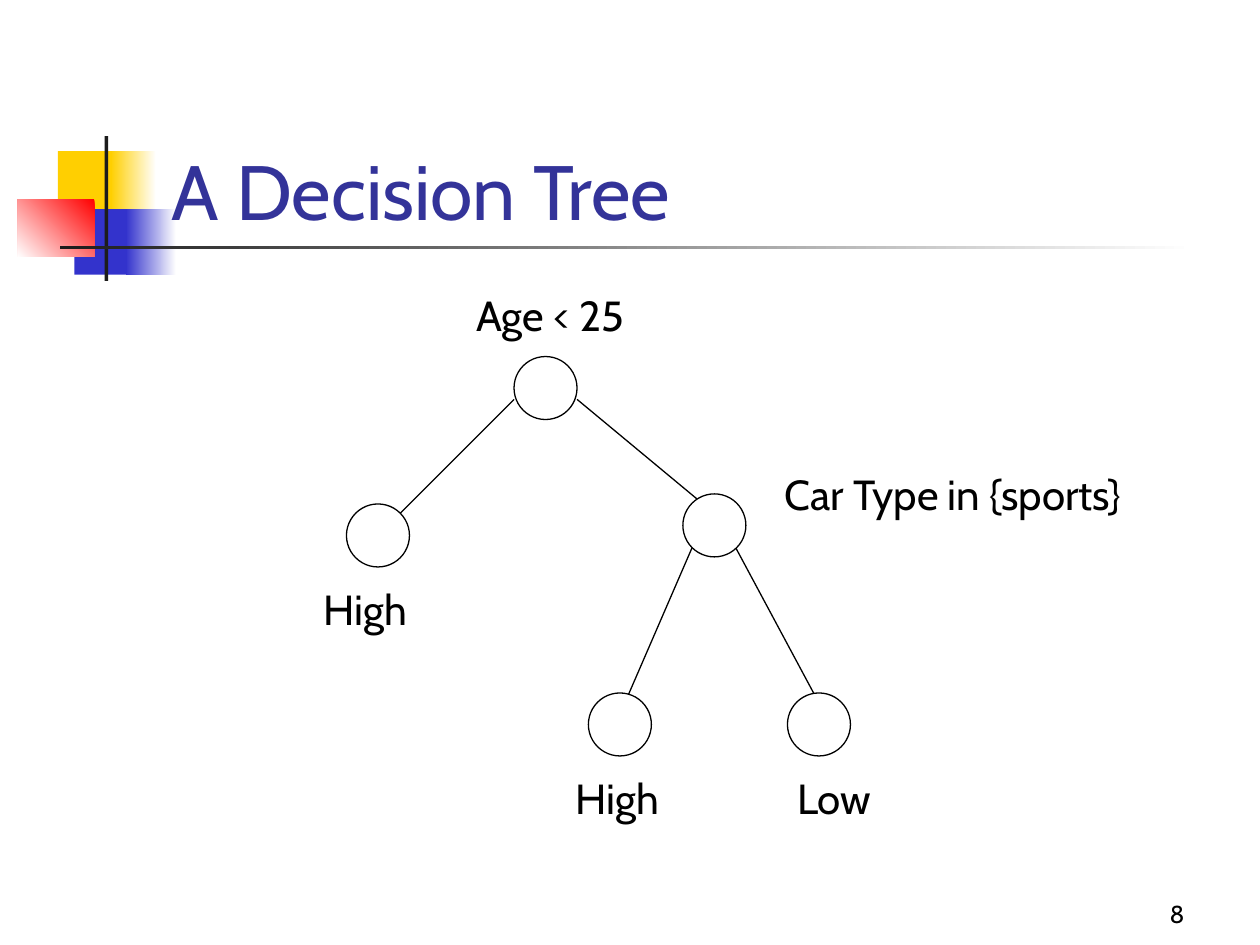
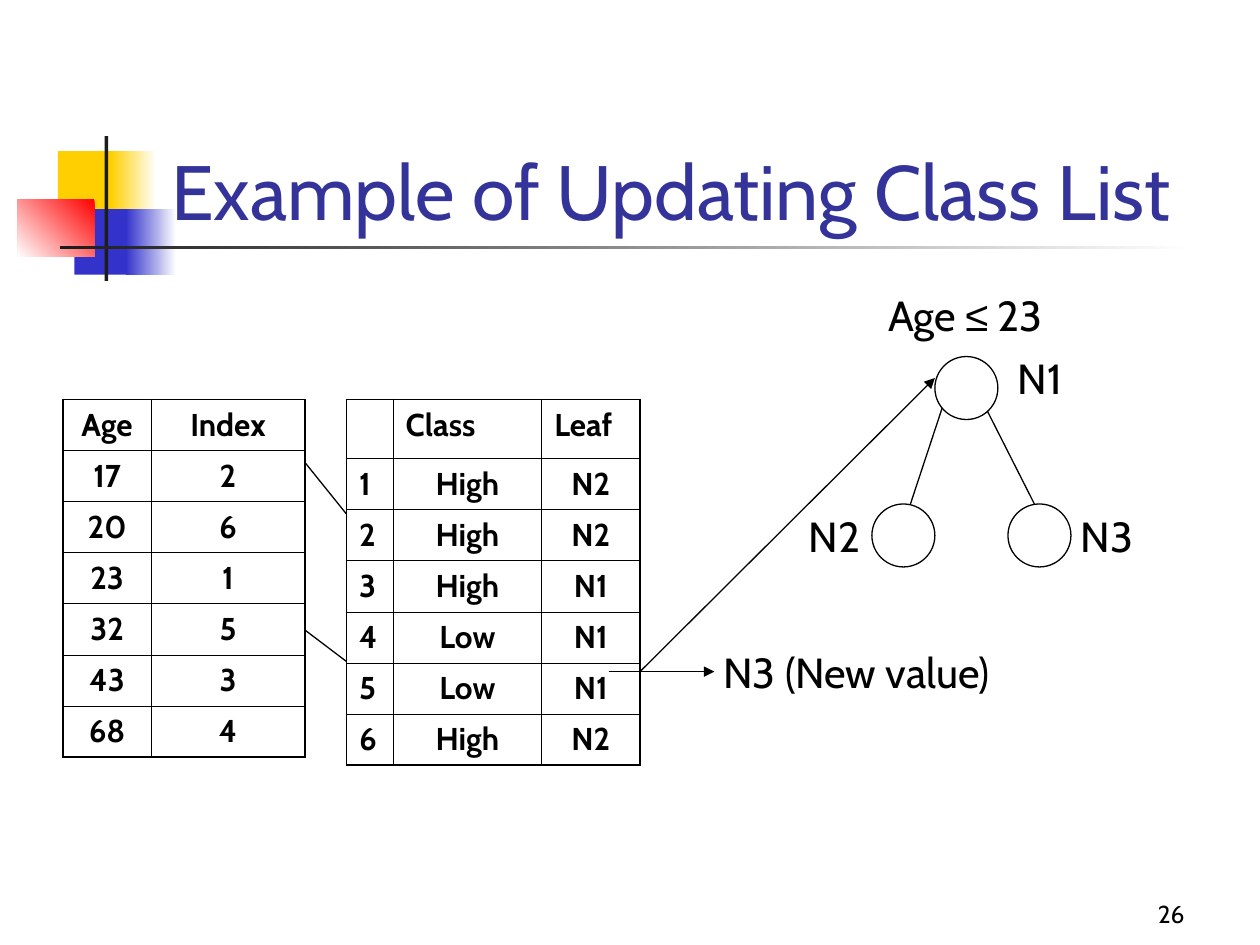
import pptx
import pptx.dml.color
import pptx.enum.shapes
import pptx.enum.text
import pptx.oxml.ns
import pptx.util
from lxml import etree

Inches = pptx.util.Inches
Pt = pptx.util.Pt
PP_ALIGN = pptx.enum.text.PP_ALIGN
MSO_ANCHOR = pptx.enum.text.MSO_ANCHOR
MSO_AUTO_SIZE = pptx.enum.text.MSO_AUTO_SIZE
MSO_SHAPE = pptx.enum.shapes.MSO_SHAPE
qn = pptx.oxml.ns.qn

COLORS = {
    "title": "333399",
    "ink": "000000",
    "white": "FFFFFF",
    "yellow": "FFCF01",
    "blue": "3333CC",
    "red": "FF0000",
    "dark": "1C1C1C",
}
FONT = "Cabin"
SYMBOL_FONT = "Arial"
NODE_SIZE = 0.5
ROW_HEIGHT = 0.4
OUTER_BORDER, INNER_BORDER = 1.08, 0.45

# Title emblem: left, top, width, height, colours, clockwise gradient angle
EMBLEM = [
    (0.46, 1.2, 0.48, 0.52, ["yellow"], 0),
    (0.88, 1.2, 0.36, 0.52, ["white", "yellow"], 180),
    (0.59, 1.66, 0.46, 0.52, ["blue"], 0),
    (1, 1.66, 0.4, 0.52, ["white", "blue"], 180),
    (0.14, 1.58, 0.61, 0.46, ["red", "white"], 135),
    (0.83, 1.08, 0.03, 1.15, ["dark"], 0),
    (0.48, 1.95, 9, 0.03, ["white", "dark"], 180),
]

# Nodes: left, top. Edges and arrows: start x, start y, end x, end y.
# Labels: left, top, width, text
SLIDES = [
    {
        "title": "A Decision Tree",
        "number": "8",
        "tables": [],
        "edges": [
            (4.08, 3.17, 3.17, 4.08),
            (4.58, 3.17, 5.58, 4),
            (5.5, 4.33, 4.92, 5.67),
            (5.83, 4.33, 6.5, 5.58),
        ],
        "arrows": [],
        "nodes": [(2.75, 4), (5.42, 3.92), (6.25, 5.5), (4.67, 5.5), (4.08, 2.83)],
        "labels": [
            (3.68, 2.25, 1.55, "Age < 25"),
            (6.13, 3.67, 3.27, "Car Type in {sports}"),
            (2.47, 4.58, 0.94, "High"),
            (4.47, 6.08, 0.94, "High"),
            (6.23, 6.08, 0.84, "Low"),
        ],
    },
    {
        "title": "Example of Updating Class List",
        "number": "26",
        "tables": [
            {
                "left": 0.5,
                "columns": [0.7, 1.22],
                "header_height": ROW_HEIGHT,
                "header_align": "cc",
                "body_align": "cc",
                "rows": [
                    ("Age", "Index"), ("17", "2"), ("20", "6"), ("23", "1"),
                    ("32", "5"), ("43", "3"), ("68", "4"),
                ],
            },
            {
                "left": 2.75,
                "columns": [0.37, 1.18, 0.78],
                "header_height": 0.47,
                "header_align": "lll",
                "body_align": "lcc",
                "rows": [
                    ("", "Class", "Leaf"), ("1", "High", "N2"), ("2", "High", "N2"),
                    ("3", "High", "N1"), ("4", "Low", "N1"), ("5", "Low", "N1"),
                    ("6", "High", "N2"),
                ],
            },
        ],
        "edges": [
            (2.42, 3.67, 2.75, 4.08),
            (2.42, 5, 2.75, 5.25),
            (7.5, 3.17, 7.17, 4.17),
            (7.83, 3.25, 8.25, 4.08),
        ],
        "arrows": [(5.08, 5.33, 7.42, 3), (4.83, 5.33, 5.67, 5.33)],
        "nodes": [(8, 4), (7.42, 2.83), (6.92, 4)],
        "labels": [
            (6.95, 2.25, 1.62, "Age ≤ 23"),
            (7.98, 2.75, 0.64, "N1"),
            (6.32, 4, 0.64, "N2"),
            (8.48, 4, 0.64, "N3"),
            (5.64, 5.08, 2.55, "N3 (New value)"),
        ],
    },
]


def rgb(name):
    return pptx.dml.color.RGBColor.from_string(COLORS[name])


def format_run(run, size, color="ink", bold=False, font=FONT):
    run.font.name = font
    run.font.size = Pt(size)
    run.font.bold = bold
    run.font.color.rgb = rgb(color)


def add_emblem(slide):
    for left, top, width, height, colors, angle in EMBLEM:
        shape = slide.shapes.add_shape(
            MSO_SHAPE.RECTANGLE, Inches(left), Inches(top), Inches(width), Inches(height))
        shape.shadow.inherit = False
        shape.line.fill.background()
        if len(colors) == 1:
            shape.fill.solid()
            shape.fill.fore_color.rgb = rgb(colors[0])
        else:
            shape.fill.gradient()
            shape.fill.gradient_angle = 360 - angle
            for stop, color in zip(shape.fill.gradient_stops, colors):
                stop.color.rgb = rgb(color)


def set_title(slide, text):
    title = slide.shapes.title
    title.element.getparent().append(title.element)  # in front of the emblem
    title.left, title.top = Inches(1.26), Inches(0.67)
    title.width, title.height = Inches(8.52), Inches(1.25)
    frame = title.text_frame
    frame.text = text
    frame.auto_size = MSO_AUTO_SIZE.NONE
    frame.vertical_anchor = MSO_ANCHOR.BOTTOM
    frame.paragraphs[0].alignment = PP_ALIGN.LEFT
    format_run(frame.paragraphs[0].runs[0], 44, "title")


def add_label(slide, left, top, width, text):
    box = slide.shapes.add_textbox(Inches(left), Inches(top), Inches(width), Inches(0.5))
    frame = box.text_frame
    frame.word_wrap = False
    frame.auto_size = MSO_AUTO_SIZE.SHAPE_TO_FIT_TEXT
    before, symbol, after = text.partition("≤")
    for part in filter(None, (before, symbol, after)):
        run = frame.paragraphs[0].add_run()
        run.text = part
        format_run(run, 24, font=SYMBOL_FONT if part == "≤" else FONT)


def add_slide_number(slide, number):
    box = slide.shapes.add_textbox(Inches(7.42), Inches(6.92), Inches(2.08), Inches(0.5))
    frame = box.text_frame
    frame.word_wrap = True
    frame.vertical_anchor = MSO_ANCHOR.BOTTOM
    frame.text = number
    frame.paragraphs[0].alignment = PP_ALIGN.RIGHT
    format_run(frame.paragraphs[0].runs[0], 14)


def add_line(slide, start_x, start_y, end_x, end_y, arrow=False):
    connector = slide.shapes.add_connector(
        pptx.enum.shapes.MSO_CONNECTOR.STRAIGHT,
        Inches(start_x), Inches(start_y), Inches(end_x), Inches(end_y))
    connector.line.color.rgb = rgb("ink")
    connector.line.width = Pt(0.75)
    if arrow:
        line = connector.line._get_or_add_ln()
        etree.SubElement(line, qn("a:tailEnd"), type="triangle")
    etree.SubElement(connector.element.spPr, qn("a:effectLst"))


def add_node(slide, left, top):
    node = slide.shapes.add_shape(
        MSO_SHAPE.OVAL, Inches(left), Inches(top), Inches(NODE_SIZE), Inches(NODE_SIZE))
    node.shadow.inherit = False
    node.fill.solid()
    node.fill.fore_color.rgb = rgb("white")
    node.line.color.rgb = rgb("ink")
    node.line.width = Pt(0.75)


def set_borders(cell, outer_sides):
    properties = cell._tc.get_or_add_tcPr()
    for side in "LRTB":
        width = OUTER_BORDER if side in outer_sides else INNER_BORDER
        border = etree.SubElement(properties, qn("a:ln" + side), w=str(int(Pt(width))))
        fill = etree.SubElement(border, qn("a:solidFill"))
        etree.SubElement(fill, qn("a:srgbClr"), val=COLORS["ink"])


def add_data_table(slide, data):
    rows, columns = data["rows"], data["columns"]
    heights = [data["header_height"]] + [ROW_HEIGHT] * (len(rows) - 1)
    table = slide.shapes.add_table(
        len(rows), len(columns), Inches(data["left"]), Inches(3.17),
        Inches(sum(columns)), Inches(sum(heights))).table
    table.first_row = table.horz_banding = False
    for column, width in zip(table.columns, columns):
        column.width = Inches(width)
    for row_index, values in enumerate(rows):
        table.rows[row_index].height = Inches(heights[row_index])
        aligns = data["body_align" if row_index else "header_align"]
        for column_index, value in enumerate(values):
            cell = table.cell(row_index, column_index)
            outer_sides = {
                "L": column_index == 0, "R": column_index == len(columns) - 1,
                "T": row_index == 0, "B": row_index == len(rows) - 1,
            }
            set_borders(cell, [side for side, outer in outer_sides.items() if outer])
            cell.fill.background()
            cell.text_frame.text = value
            paragraph = cell.text_frame.paragraphs[0]
            centred = aligns[column_index] == "c"
            paragraph.alignment = PP_ALIGN.CENTER if centred else PP_ALIGN.LEFT
            for run in paragraph.runs:
                format_run(run, 18, bold=True)


def build_slide(presentation, content):
    slide = presentation.slides.add_slide(presentation.slide_layouts[5])
    add_emblem(slide)
    set_title(slide, content["title"])
    for data in content["tables"]:
        add_data_table(slide, data)
    for edge in content["edges"]:
        add_line(slide, *edge)
    for node in content["nodes"]:
        add_node(slide, *node)
    for label in content["labels"]:
        add_label(slide, *label)
    for arrow in content["arrows"]:
        add_line(slide, *arrow, arrow=True)
    add_slide_number(slide, content["number"])


def main():
    presentation = pptx.Presentation()
    presentation.slide_width, presentation.slide_height = Inches(10), Inches(7.5)
    for content in SLIDES:
        build_slide(presentation, content)
    presentation.save("out.pptx")


if __name__ == "__main__":
    main()
